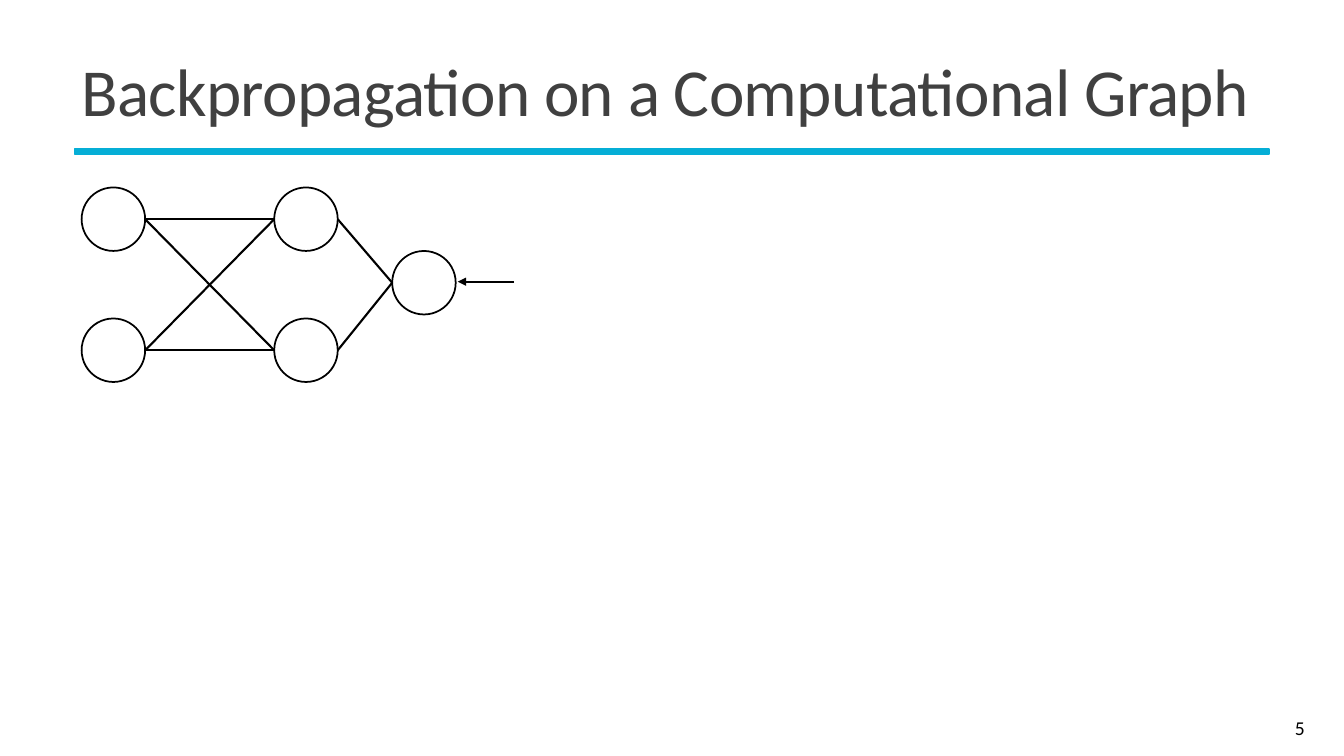
import itertools

import pptx
import pptx.dml.color
import pptx.enum.shapes
import pptx.enum.text
import pptx.oxml.ns
import pptx.util
from lxml import etree

Inches = pptx.util.Inches
Pt = pptx.util.Pt
SHAPE = pptx.enum.shapes.MSO_SHAPE
ALIGN = pptx.enum.text.PP_ALIGN
qn = pptx.oxml.ns.qn

FONT = "Calibri"
CYAN = pptx.dml.color.RGBColor(0x05, 0xAE, 0xD6)
GRAY = pptx.dml.color.RGBColor(0x40, 0x40, 0x40)
BLACK = pptx.dml.color.RGBColor(0x00, 0x00, 0x00)

NODE_SIZE = 0.63


def add_text(slide, box, text, size, color, align):
    """Add one vertically centred line of text and return its paragraph and run."""
    frame = slide.shapes.add_textbox(*map(Inches, box)).text_frame
    frame.word_wrap = True
    frame.vertical_anchor = pptx.enum.text.MSO_ANCHOR.MIDDLE
    paragraph = frame.paragraphs[0]
    paragraph.alignment = align
    run = paragraph.add_run()
    run.text = text
    run.font.name = FONT
    run.font.size = Pt(size)
    run.font.color.rgb = color
    return paragraph, run


def add_outlined(slide, kind, box, color):
    shape = slide.shapes.add_shape(kind, *map(Inches, box))
    shape.shadow.inherit = False
    shape.fill.background()
    shape.line.color.rgb = color
    shape.line.width = Pt(1.25)
    return shape


def add_edge(slide, start, end):
    edge = slide.shapes.add_connector(
        pptx.enum.shapes.MSO_CONNECTOR.STRAIGHT, *map(Inches, (*start, *end)))
    edge.line.color.rgb = BLACK
    edge.line.width = Pt(1.5)
    etree.SubElement(edge._element.spPr, qn("a:effectLst"))
    return edge


def add_header(slide, left, top, width, height):
    """Title with the coloured rule along its lower edge."""
    title, run = add_text(slide, (left, top, width, height),
                          "Backpropagation on a Computational Graph",
                          48, GRAY, ALIGN.LEFT)
    title.line_spacing = 0.85
    run._r.get_or_add_rPr().set("spc", "-50")
    rule = add_outlined(slide, SHAPE.RECTANGLE,
                        (left + 0.03, top + height - 0.04, width - 0.09, 0.05), CYAN)
    rule.fill.solid()
    rule.fill.fore_color.rgb = CYAN


def add_network(slide, left, top, width, height):
    """Fully connected 2-2-1 network with an arrow entering its output node."""
    rows = (top, top + height - NODE_SIZE)
    output_x = left + width - NODE_SIZE
    layers = [
        [(left, y) for y in rows],
        [(left + 1.91, y) for y in rows],
        [(output_x, top + NODE_SIZE)],
    ]
    middle = NODE_SIZE / 2
    for senders, receivers in itertools.pairwise(layers):
        for (x1, y1), (x2, y2) in itertools.product(senders, receivers):
            add_edge(slide, (x1 + NODE_SIZE, y1 + middle), (x2, y2 + middle))
    for x, y in itertools.chain.from_iterable(layers):
        add_outlined(slide, SHAPE.OVAL, (x, y, NODE_SIZE, NODE_SIZE), BLACK)

    arrow_y = top + NODE_SIZE + middle - 0.01
    right = left + width
    gradient = add_edge(slide, (right + 0.58, arrow_y), (right + 0.02, arrow_y))
    etree.SubElement(gradient.line._get_or_add_ln(), qn("a:tailEnd"), type="triangle")


def add_slide_number(slide, left, top, width, height):
    add_text(slide, (left, top, width, height), "5", 14, BLACK, ALIGN.RIGHT)


def main():
    deck = pptx.Presentation()
    deck.slide_width = Inches(13.33)
    deck.slide_height = Inches(7.5)
    slide = deck.slides.add_slide(deck.slide_layouts[6])
    add_header(slide, 0.71, 0.39, 11.94, 1.13)
    add_slide_number(slide, 11.61, 7.02, 1.43, 0.4)
    add_network(slide, 0.81, 1.86, 3.71, 1.93)
    deck.save("out.pptx")


if __name__ == "__main__":
    main()
